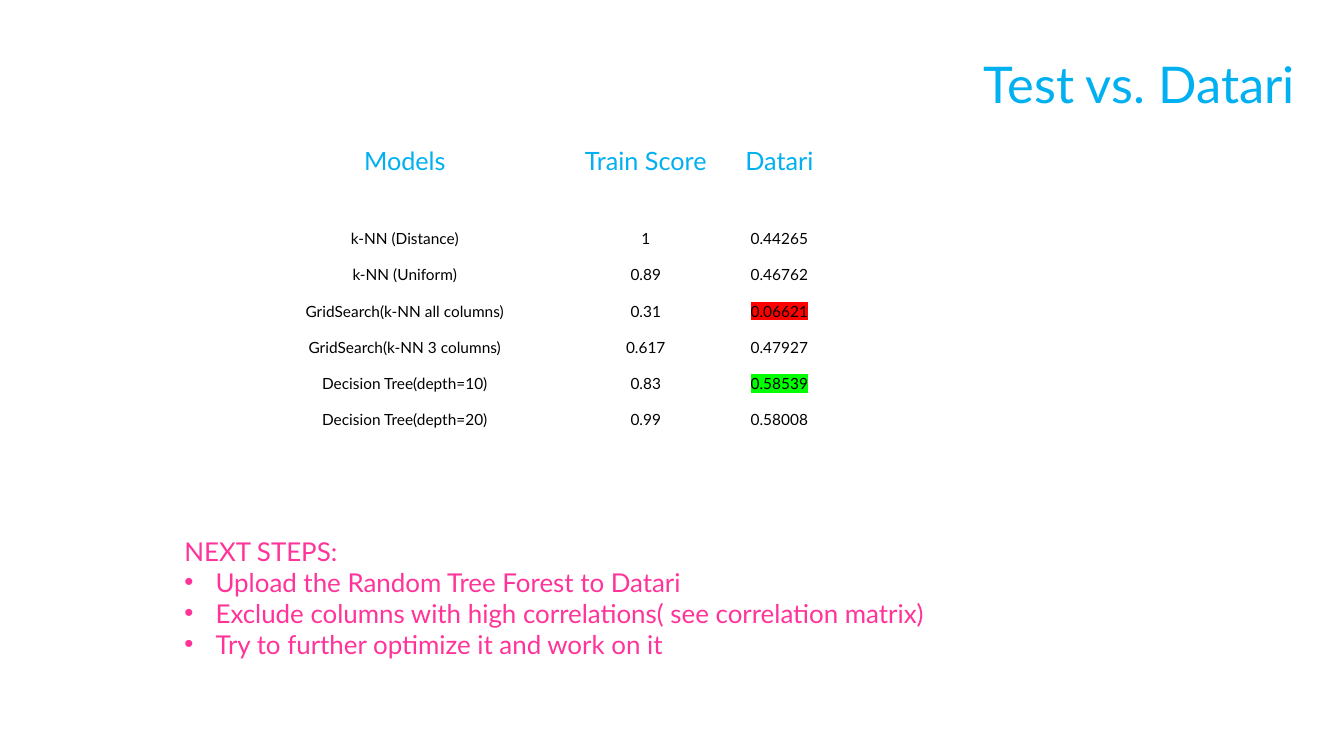
from lxml.etree import SubElement
from pptx import Presentation
from pptx.dml.color import RGBColor
from pptx.enum.text import MSO_ANCHOR as Anchor, PP_ALIGN as Align
from pptx.oxml.ns import qn
from pptx.util import Inches, Pt

SKY = RGBColor(0x00, 0xB0, 0xF0)
PINK = RGBColor(0xFF, 0x33, 0x99)
BLACK = RGBColor(0x00, 0x00, 0x00)
WHITE = RGBColor(0xFF, 0xFF, 0xFF)
RED = RGBColor(0xFF, 0x00, 0x00)
GREEN = RGBColor(0x00, 0xFF, 0x00)

HEADINGS = ("Models", "Train Score", "Datari")
SCORES = [
    ("k-NN (Distance)", "1", "0.44265"),
    ("k-NN (Uniform)", "0.89", "0.46762"),
    ("GridSearch(k-NN all columns)", "0.31", "0.06621"),
    ("GridSearch(k-NN 3 columns)", "0.617", "0.47927"),
    ("Decision Tree(depth=10)", "0.83", "0.58539"),
    ("Decision Tree(depth=20)", "0.99", "0.58008"),
]
MARKS = {"0.06621": RED, "0.58539": GREEN}
NEXT_STEPS = [
    "Upload the Random Tree Forest to Datari",
    "Exclude columns with high correlations( see correlation matrix)",
    "Try to further optimize it and work on it",
]


def add_solid_fill(parent, color, tag="a:solidFill"):
    fill = SubElement(parent, qn(tag))
    SubElement(fill, qn("a:srgbClr"), val=str(color))


class SlideWriter:
    font_name = "Lato"

    def __init__(self, page):
        self.page = page

    def span(self, para, text, size, color, mark=None):
        run = para.add_run()
        run.text = text
        run.font.size = Pt(size)
        run.font.color.rgb = color
        if mark is not None:
            add_solid_fill(run.font._element, mark, "a:highlight")
        run.font.name = self.font_name

    def text(self, left, top, width, height, heading, size, color, bullets=()):
        box = self.page.shapes.add_textbox(
            Inches(left), Inches(top), Inches(width), Inches(height))
        frame = box.text_frame
        frame.word_wrap = True
        self.span(frame.paragraphs[0], heading, size, color)
        for item in bullets:
            para = frame.add_paragraph()
            properties = para._p.get_or_add_pPr()
            properties.set("marL", str(Inches(0.31)))
            properties.set("indent", str(-Inches(0.31)))
            SubElement(properties, qn("a:buFont"), typeface="Arial")
            SubElement(properties, qn("a:buChar"), char="•")
            self.span(para, item, size, color)

    def cell(self, cell, text, size, color):
        cell.margin_left = cell.margin_right = cell.margin_top = Inches(0.01)
        cell.margin_bottom = Inches(0.05)
        cell.vertical_anchor = Anchor.BOTTOM
        properties = cell._tc.get_or_add_tcPr()
        for side in ("L", "R", "T", "B"):
            border = SubElement(properties, qn(f"a:ln{side}"), w=str(Pt(1)))
            add_solid_fill(border, WHITE)
        cell.fill.background()
        para = cell.text_frame.paragraphs[0]
        para.alignment = Align.CENTER
        self.span(para, text, size, color, MARKS.get(text))

    def table(self, left, top, widths, heights, rows):
        frame = self.page.shapes.add_table(
            len(rows), len(widths), Inches(left), Inches(top),
            Inches(sum(widths)), Inches(sum(heights)))
        table = frame.table
        table.horz_banding = False
        for column, width in zip(table.columns, widths):
            column.width = Inches(width)
        for index, (row, height, values) in enumerate(zip(table.rows, heights, rows)):
            row.height = Inches(height)
            size, color = (18, SKY) if index == 0 else (11, BLACK)
            for cell, value in zip(row.cells, values):
                self.cell(cell, value, size, color)


def main():
    deck = Presentation()
    deck.slide_width, deck.slide_height = Inches(13.33), Inches(7.5)
    writer = SlideWriter(deck.slides.add_slide(deck.slide_layouts[6]))
    writer.text(9.66, 0.48, 3.49, 1.1, "Test vs. Datari", 36.1, SKY)
    writer.text(1.73, 5.26, 8.12, 1.23, "NEXT STEPS:", 18.5, PINK, NEXT_STEPS)
    rows = [HEADINGS, ("", "", ""), *SCORES]
    heights = [0.68] + [0.36] * (len(rows) - 1)
    writer.table(2.3, 1.11, (3.43, 1.35, 1.3), heights, rows)
    deck.save("out.pptx")


if __name__ == "__main__":
    main()
